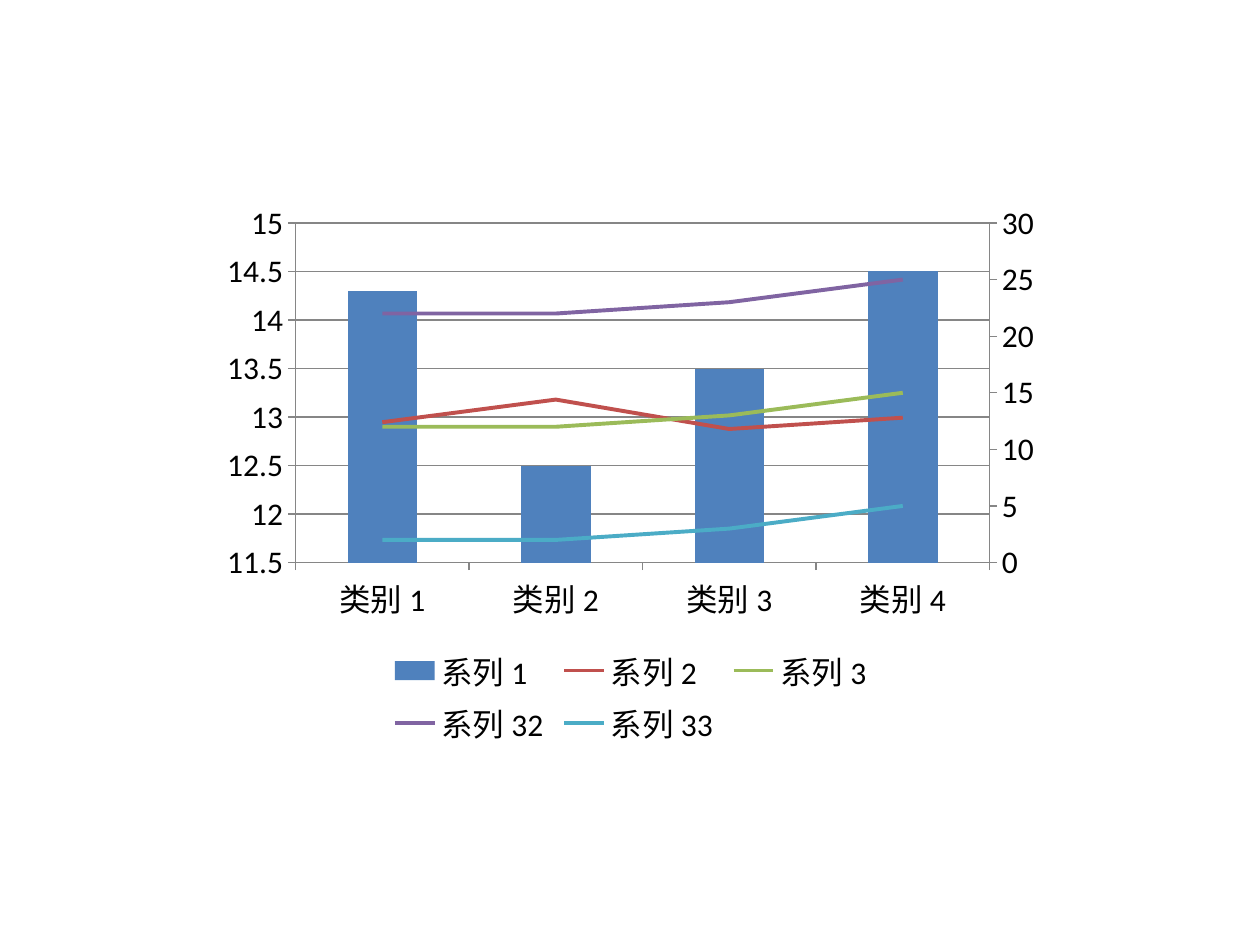
from copy import deepcopy

from pptx import Presentation
from pptx.chart.data import CategoryChartData
from pptx.dml.color import RGBColor
from pptx.enum.chart import XL_CHART_TYPE as ChartType
from pptx.enum.chart import XL_LEGEND_POSITION as LegendPosition
from pptx.enum.chart import XL_MARKER_STYLE as MarkerStyle
from pptx.enum.chart import XL_TICK_MARK as TickMark
from pptx.oxml import parse_xml
from pptx.oxml.ns import nsdecls, qn
from pptx.util import Inches, Pt

COLORS = {
    "text": "000000",
    "axis": "868686",
    "系列 1": "4F81BD",
    "系列 2": "C0504D",
    "系列 3": "9BBB59",
    "系列 32": "8064A2",
    "系列 33": "4BACC6",
}
CATEGORIES = ["类别 1", "类别 2", "类别 3", "类别 4"]
SERIES = {
    "系列 1": (14.3, 12.5, 13.5, 14.5),
    "系列 2": (12.4, 14.4, 11.8, 12.8),
    "系列 3": (12, 12, 13, 15),
    "系列 32": (22, 22, 23, 25),
    "系列 33": (2, 2, 3, 5),
}
RIGHT_CATEGORY_ID, RIGHT_VALUE_ID = "50010", "50020"


def rgb(name):
    return RGBColor.from_string(COLORS[name])


def style_line(line, color_name, width):
    line.color.rgb = rgb(color_name)
    line.width = Pt(width)


def style_axis(axis):
    axis.major_tick_mark = TickMark.OUTSIDE
    axis.minor_tick_mark = TickMark.NONE
    style_line(axis.format.line, "axis", 0.75)


def set_scale(axis, minimum, maximum, step):
    axis.minimum_scale = minimum
    axis.maximum_scale = maximum
    axis.major_unit = step


def add_right_axis(chart, **changes):
    """Add a second pair of axes: a hidden category axis and a value axis on the right."""
    category_axis, value_axis = chart.element.xpath(".//c:catAx | .//c:valAx")
    right_value, right_category = deepcopy(value_axis), deepcopy(category_axis)
    value_axis.addnext(right_value)
    right_value.addnext(right_category)

    settings = (
        (right_value, {"axId": RIGHT_VALUE_ID, "crossAx": RIGHT_CATEGORY_ID,
                       "axPos": "r", "crosses": "max"}),
        (right_category, {"axId": RIGHT_CATEGORY_ID, "crossAx": RIGHT_VALUE_ID,
                          "delete": "1"}),
    )
    for axis, values in settings:
        for tag, value in values.items():
            axis.find(qn(f"c:{tag}")).set("val", value)
    right_value.remove(right_value.find(qn("c:majorGridlines")))


def move_to_lines(chart):
    """Turn every series but the first into a line on the right axis."""
    bar_plot = chart.element.xpath(".//c:barChart")[0]
    line_plot = parse_xml(
        f'<c:lineChart {nsdecls("c")}><c:grouping val="standard"/>'
        '<c:varyColors val="0"/><c:marker val="1"/>'
        f'<c:axId val="{RIGHT_CATEGORY_ID}"/><c:axId val="{RIGHT_VALUE_ID}"/>'
        "</c:lineChart>"
    )
    bar_plot.addnext(line_plot)
    marker = line_plot.find(qn("c:marker"))
    for series in bar_plot.findall(qn("c:ser"))[1:]:
        for invert in series.findall(qn("c:invertIfNegative")):
            series.remove(invert)
        marker.addprevious(series)


def add_combined_chart(slide):
    data = CategoryChartData()
    data.categories = CATEGORIES
    for name, values in SERIES.items():
        data.add_series(name, values)
    chart = slide.shapes.add_chart(
        ChartType.COLUMN_CLUSTERED,
        Inches(1.67), Inches(1.53), Inches(6.67), Inches(4.44), data,
    ).chart
    chart.has_title = False
    chart.font.name = "Calibri"
    chart.font.size = Pt(18)
    chart.font.color.rgb = rgb("text")
    chart.has_legend = True
    chart.legend.position = LegendPosition.BOTTOM
    chart.legend.include_in_layout = False

    style_axis(chart.category_axis)
    left_axis = chart.value_axis
    style_axis(left_axis)
    left_axis.has_major_gridlines = True
    style_line(left_axis.major_gridlines.format.line, "axis", 0.75)
    add_right_axis(chart)
    set_scale(left_axis, 11.5, 15, 0.5)
    # With two value axes present, value_axis gives the second one.
    set_scale(chart.value_axis, 0, 30, 5)

    move_to_lines(chart)
    columns, lines = chart.plots
    columns.vary_by_categories = False
    columns.gap_width = 150
    for series in columns.series:
        series.format.fill.solid()
        series.format.fill.fore_color.rgb = rgb(series.name)
    for series in lines.series:
        series.smooth = False
        series.marker.style = MarkerStyle.NONE
        style_line(series.format.line, series.name, 2.25)


def main():
    presentation = Presentation()
    presentation.slide_width = Inches(10)
    presentation.slide_height = Inches(7.5)
    slide = presentation.slides.add_slide(presentation.slide_layouts[6])
    add_combined_chart(slide)
    presentation.save("out.pptx")


if __name__ == "__main__":
    main()
